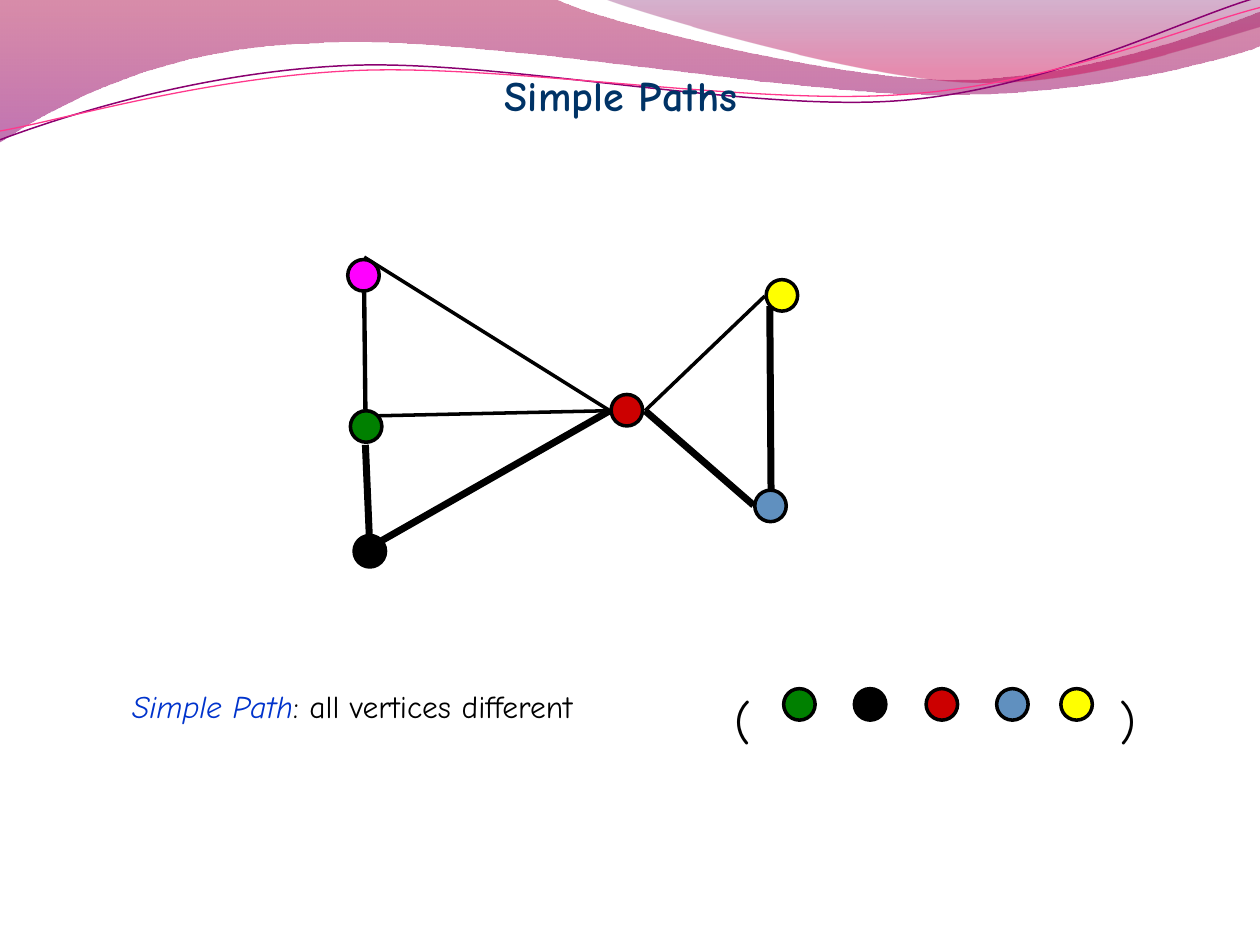
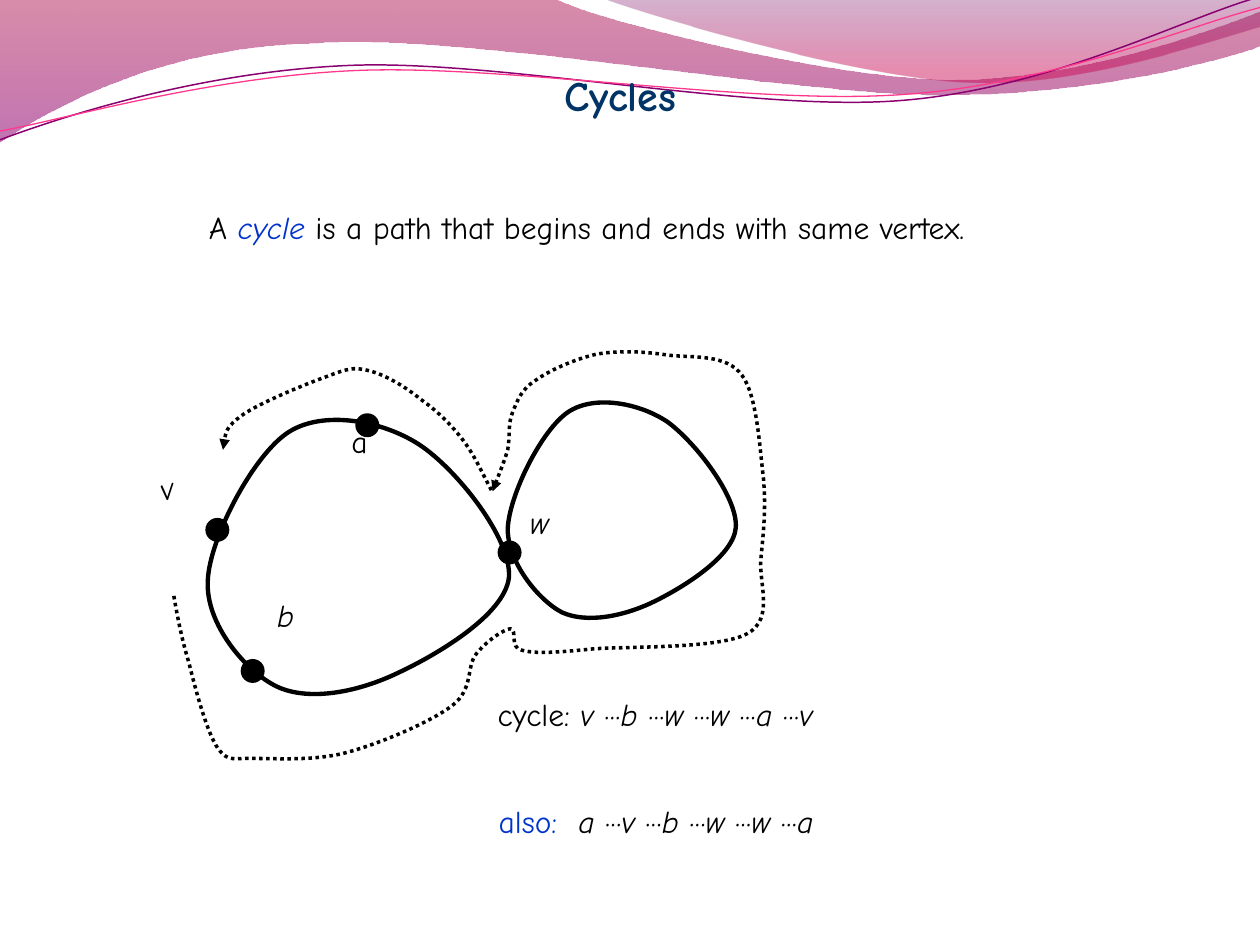
from dataclasses import dataclass

from lxml import etree
from pptx import Presentation
from pptx.dml.color import RGBColor
from pptx.enum.dml import MSO_LINE
from pptx.enum.shapes import MSO_CONNECTOR, MSO_SHAPE
from pptx.enum.text import MSO_AUTO_SIZE
from pptx.oxml.ns import qn
from pptx.util import Pt

OVAL = MSO_SHAPE.OVAL
STRAIGHT = MSO_CONNECTOR.STRAIGHT
DOTTED = MSO_LINE.ROUND_DOT
GROW = MSO_AUTO_SIZE.SHAPE_TO_FIT_TEXT
CURVE_UNIT = Pt(0.72)


@dataclass(frozen=True)
class Theme:
    font: str = "Comic Neue"
    title_size: int = 24
    body_size: int = 18
    bracket_size: int = 28
    title: str = "003366"
    term: str = "0033CC"
    ink: str = "000000"
    red: str = "CC0000"
    green: str = "008000"
    blue: str = "6090BF"
    yellow: str = "FFFF00"
    magenta: str = "FF00FF"
    wide_band: tuple = ((0, "A90042", 45), (1, "8E0073", 55))
    right_band: tuple = ((0, "73005E", 30), (0.8, "C9004F", 45))
    purple_wave: str = "8A0070"
    pink_wave: str = "FF388C"


THEME = Theme()

WIDE_BAND = [
    (0, 0), (440, -1), (476, 17, 664, 63, 758, 63), (853, 63, 958, 26, 1000, 9),
    (1001, 36), (983, 44, 870, 76, 746, 75), (622, 75, 382, 28, 257, 34),
    (129, 36, 46, 83, -1, 113), (0, 0),
]
RIGHT_BAND = [
    (479, -1), (509, 11, 682, 62, 769, 65), (856, 69, 961, 32, 1000, 21),
    (1000, 0), (479, -1),
]
PURPLE_WAVE = [
    (0, 111), (48, 93, 158, 57, 277, 52), (395, 47, 593, 89, 713, 80),
    (833, 71, 938, 15, 998, -2),
]
PINK_WAVE = [
    (0, 104), (47, 96, 164, 61, 283, 56), (403, 51, 597, 84, 717, 75),
    (836, 67, 941, 21, 1000, 6),
]
LEFT_LOOP = [
    (165, 461), (166, 428, 201, 361, 229, 343), (257, 325, 304, 334, 333, 353),
    (362, 372, 406, 427, 404, 458), (401, 488, 346, 520, 316, 534),
    (285, 549, 246, 557, 220, 545), (195, 533, 163, 495, 165, 461),
]
RIGHT_LOOP = [
    (403, 420), (404, 393, 430, 341, 451, 327), (472, 313, 508, 320, 530, 335),
    (552, 351, 586, 395, 584, 419), (582, 442, 541, 467, 518, 478),
    (495, 489, 466, 495, 446, 486), (427, 476, 403, 446, 403, 420),
]
RETURN_TRAIL = [
    (390, 389), (383, 376, 377, 362, 368, 350), (359, 338, 347, 326, 334, 317),
    (322, 307, 305, 297, 292, 294), (280, 291, 275, 293, 259, 299),
    (242, 305, 206, 320, 193, 329), (179, 339, 178, 348, 177, 357),
]
OUTWARD_TRAIL = [
    (138, 473), (141, 490, 144, 506, 150, 526), (155, 546, 164, 581, 173, 594),
    (182, 606, 186, 601, 204, 602), (221, 602, 251, 604, 276, 597),
    (302, 590, 342, 573, 359, 560), (376, 547, 370, 529, 378, 519),
    (386, 509, 399, 500, 405, 499), (411, 499, 404, 514, 414, 516),
    (425, 519, 441, 518, 471, 515), (500, 513, 571, 515, 593, 503),
    (615, 491, 602, 463, 604, 443), (606, 422, 608, 404, 606, 380),
    (603, 356, 601, 314, 589, 298), (577, 281, 551, 284, 531, 282),
    (512, 279, 492, 278, 474, 281), (456, 285, 436, 294, 425, 302),
    (414, 309, 411, 317, 407, 327), (403, 336, 405, 346, 403, 357),
    (400, 367, 395, 379, 391, 390),
]


def rgb(colour):
    return RGBColor.from_string(colour)


def add_curve(slide, segments, closed=False):
    points = [pair for s in segments for pair in zip(s[::2], s[1::2])]
    builder = slide.shapes.build_freeform(*points[0], scale=CURVE_UNIT)
    builder.add_line_segments(points[1:], close=closed)
    curve = builder.convert_to_shape()
    curve.shadow.inherit = False
    steps = iter(list(curve._element.iter(qn("a:lnTo"))))
    for segment in segments[1:]:
        step = next(steps)
        if len(segment) == 6:
            bezier = etree.Element(qn("a:cubicBezTo"))
            step.addprevious(bezier)
            for control in (step, next(steps), next(steps)):
                bezier.append(control[0])
                control.getparent().remove(control)
    return curve


def add_band(slide, segments, stops):
    band = add_curve(slide, segments, closed=True)
    band.line.fill.background()
    band.fill.gradient()
    band.fill.gradient_angle = 270
    for stop, (position, colour, opacity) in zip(band.fill.gradient_stops, stops):
        stop.position = position
        stop.color.rgb = rgb(colour)
    colours = band._element.spPr.iter(qn("a:srgbClr"))
    for node, (_, _, opacity) in zip(list(colours), stops):
        etree.SubElement(node, qn("a:alpha")).set("val", str(opacity * 1000))


def add_stroke(slide, segments, colour, width, closed=False):
    stroke = add_curve(slide, segments, closed)
    stroke.fill.background()
    stroke.line.color.rgb = rgb(colour)
    stroke.line.width = Pt(width)
    return stroke


def add_trail(slide, segments):
    trail = add_stroke(slide, segments, THEME.ink, 2)
    trail.line.dash_style = DOTTED
    arrow = etree.SubElement(trail._element.spPr.find(qn("a:ln")), qn("a:tailEnd"))
    arrow.set("type", "triangle")


def add_vertex(slide, x, y, colour, size=18, outline=2):
    vertex = slide.shapes.add_shape(
        OVAL, Pt(x - size / 2), Pt(y - size / 2), Pt(size), Pt(size))
    vertex.shadow.inherit = False
    vertex.fill.solid()
    vertex.fill.fore_color.rgb = rgb(colour)
    if outline:
        vertex.line.color.rgb = rgb(THEME.ink)
        vertex.line.width = Pt(outline)
    else:
        vertex.line.fill.background()


def add_edge(slide, start, end, width):
    edge = slide.shapes.add_connector(STRAIGHT, *map(Pt, start + end))
    edge.line.color.rgb = rgb(THEME.ink)
    edge.line.width = Pt(width)
    etree.SubElement(edge._element.spPr, qn("a:effectLst"))


def add_label(slide, place, pieces, size=THEME.body_size, bold=False, wrap=False):
    label = slide.shapes.add_textbox(*map(Pt, place))
    frame = label.text_frame
    frame.word_wrap = wrap
    if not wrap:
        frame.auto_size = GROW
    for text, colour, italic in pieces:
        run = frame.paragraphs[0].add_run()
        run.text = text
        run.font.name = THEME.font
        run.font.size = Pt(size)
        run.font.bold = bold
        run.font.italic = italic
        run.font.color.rgb = rgb(colour)
    return label


def walk(vertices):
    pieces = []
    for vertex in vertices[:-1]:
        pieces += [(vertex + " ", THEME.ink, True), ("···", THEME.ink, False)]
    return pieces + [(vertices[-1], THEME.ink, True)]


def start_slide(deck):
    slide = deck.slides.add_slide(deck.slide_layouts[6])
    add_band(slide, WIDE_BAND, THEME.wide_band)
    add_band(slide, RIGHT_BAND, THEME.right_band)
    add_stroke(slide, PURPLE_WAVE, THEME.purple_wave, 0.85)
    add_stroke(slide, PINK_WAVE, THEME.pink_wave, 0.75)
    return slide


def add_title(slide, text, left, width):
    add_label(slide, (left, 36, width, 36), [(text, THEME.title, False)],
              THEME.title_size, bold=True)


def build_simple_paths(deck):
    slide = start_slide(deck)
    add_label(slide, (68.4, 388.8, 309.6, 37.4),
              [("Simple Path", THEME.term, True),
               (": all vertices different", THEME.ink, False)], wrap=True)

    path_vertices = [(456.8, THEME.green), (497.2, THEME.ink), (538.2, THEME.red),
                     (578.5, THEME.blue), (615.2, THEME.yellow)]
    for x, colour in path_vertices:
        add_vertex(slide, x, 402.5, colour)
    for left, bracket in [(412.6, "("), (632.9, ")")]:
        add_label(slide, (left, 391, 20.9, 28.8), [(bracket, THEME.ink, False)],
                  THEME.bracket_size)

    graph_vertices = [
        (446.8, 168.8, THEME.yellow), (440.3, 289.1, THEME.blue),
        (209.2, 243.7, THEME.green), (207.7, 157.3, THEME.magenta),
        (211.3, 315, THEME.ink), (358.2, 234.4, THEME.red),
    ]
    for vertex in graph_vertices:
        add_vertex(slide, *vertex)

    red_left, red_right = (348.5, 234.7), (368.6, 234.7)
    edges = [
        ((208.8, 254.2), (211, 305.3), 4),
        ((439.9, 175), (440.6, 279.4), 4),
        ((437, 169.2), red_right, 2),
        (red_right, (430.6, 288.7), 4),
        (red_left, (218.2, 308.9), 4),
        (red_left, (208.1, 146.9), 2),
        ((216, 237.6), red_left, 2),
        ((208.1, 167), (208.8, 234), 2.5),
    ]
    for edge in edges:
        add_edge(slide, *edge)
    add_title(slide, "Simple Paths", 281.5, 162.7)


def build_cycles(deck):
    slide = start_slide(deck)
    for loop in (LEFT_LOOP, RIGHT_LOOP):
        add_stroke(slide, loop, THEME.ink, 2.5, closed=True)
    for x, y in [(291.2, 315.7), (124.2, 302.8), (209.9, 243), (144.4, 383.4)]:
        add_vertex(slide, x, y, THEME.ink, size=13.7, outline=0)

    names = [("w", 295.9, 283.7, 26.6, True, 0), ("v", 84.2, 264.2, 23, True, 346.5),
             ("a", 193.7, 237.6, 23.8, False, 0), ("b", 151.2, 337, 25.2, True, 0)]
    for name, left, top, width, italic, angle in names:
        label = add_label(slide, (left, top, width, 28.8),
                          [(name, THEME.ink, italic)])
        label.rotation = angle

    add_label(slide, (112.3, 115.2, 491.8, 28.8),
              [("A ", THEME.ink, False), ("cycle", THEME.term, True),
               (" is a path that begins and ends with same vertex.",
                THEME.ink, False)])
    for trail in (RETURN_TRAIL, OUTWARD_TRAIL):
        add_trail(slide, trail)
    add_label(slide, (277.2, 393.8, 224.6, 28.8),
              [("cycle: ", THEME.ink, False)] + walk("vbwwav"))
    add_label(slide, (277.9, 455, 220.3, 28.8),
              [("also:  ", THEME.term, False)] + walk("avbwwa"))
    add_title(slide, "Cycles", 315.4, 86.4)


def main():
    deck = Presentation()
    deck.slide_width, deck.slide_height = Pt(720), Pt(540)
    build_simple_paths(deck)
    build_cycles(deck)
    deck.save("out.pptx")


if __name__ == "__main__":
    main()
